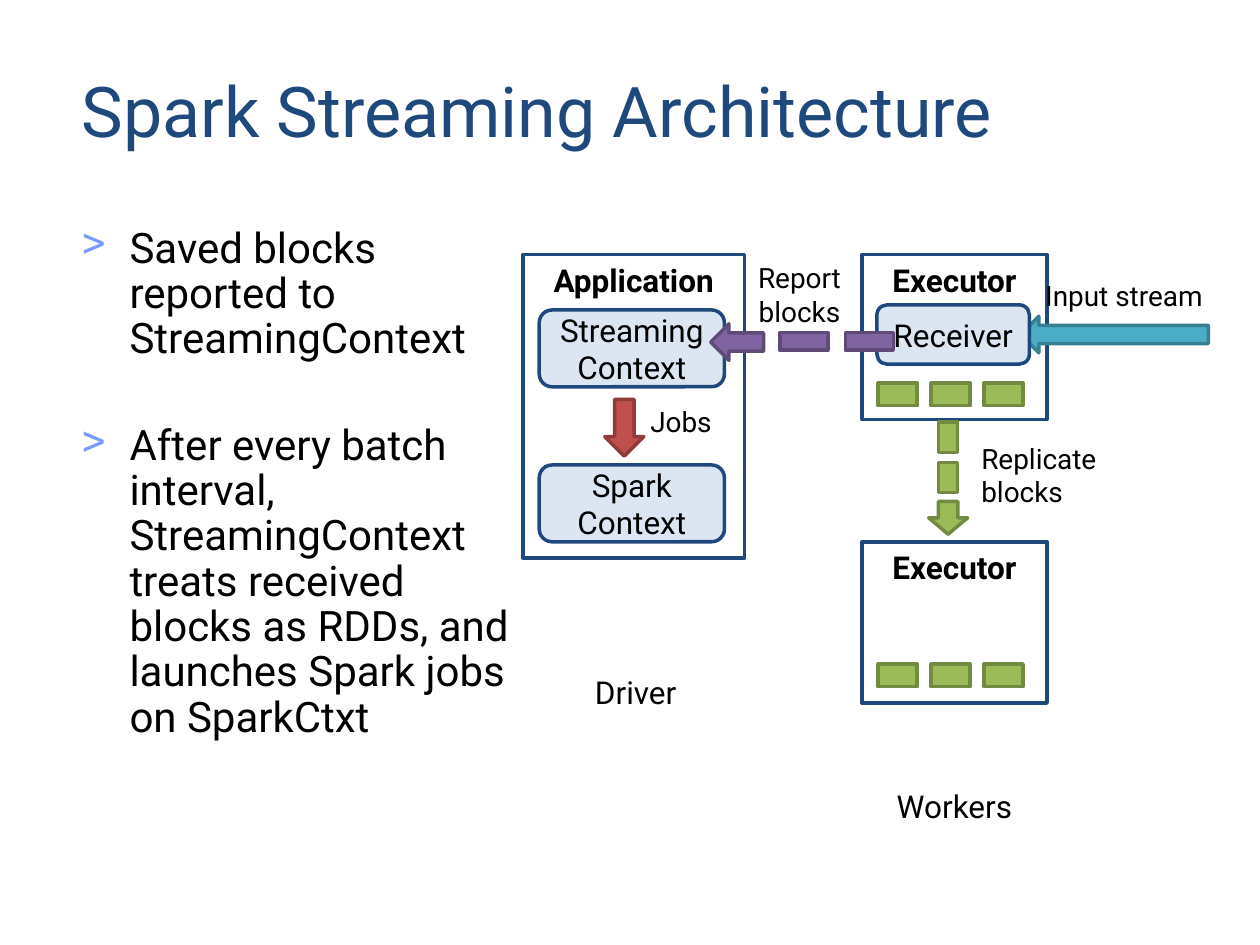
from lxml import etree
from pptx import Presentation
from pptx.dml.color import RGBColor
from pptx.enum.shapes import MSO_SHAPE
from pptx.enum.text import MSO_ANCHOR, PP_ALIGN
from pptx.oxml.ns import qn
from pptx.util import Inches, Pt

RECT, ROUNDED = MSO_SHAPE.RECTANGLE, MSO_SHAPE.ROUNDED_RECTANGLE
LEFT_ARROW, DOWN_ARROW = MSO_SHAPE.LEFT_ARROW, MSO_SHAPE.DOWN_ARROW
TOP, MIDDLE = MSO_ANCHOR.TOP, MSO_ANCHOR.MIDDLE
LEFT, CENTER = PP_ALIGN.LEFT, PP_ALIGN.CENTER

FONT = "Roboto"
BLACK = RGBColor(0x00, 0x00, 0x00)
WHITE = RGBColor(0xFF, 0xFF, 0xFF)
NAVY = RGBColor(0x1F, 0x49, 0x7D)
PALE_BLUE = RGBColor(0xDC, 0xE6, 0xF2)
TEAL, TEAL_EDGE = RGBColor(0x4B, 0xAC, 0xC6), RGBColor(0x37, 0x7F, 0x92)
GREEN, GREEN_EDGE = RGBColor(0x9B, 0xBB, 0x59), RGBColor(0x73, 0x8A, 0x42)
RED, RED_EDGE = RGBColor(0xC0, 0x50, 0x4D), RGBColor(0x8E, 0x3B, 0x39)
PURPLE, PURPLE_EDGE = RGBColor(0x80, 0x64, 0xA2), RGBColor(0x5F, 0x4A, 0x78)

prs = Presentation()
prs.slide_width, prs.slide_height = Inches(10), Inches(7.5)
slide = prs.slides.add_slide(prs.slide_layouts[6])


def add_text(box, lines, size, color=BLACK, bold=False, align=CENTER, anchor=MIDDLE):
    frame = box.text_frame
    frame.word_wrap = True
    frame.vertical_anchor = anchor
    for i, line in enumerate(lines):
        paragraph = frame.add_paragraph() if i else frame.paragraphs[0]
        paragraph.alignment = align
        run = paragraph.add_run()
        run.text = line
        run.font.name, run.font.size = FONT, Pt(size)
        run.font.bold, run.font.color.rgb = bold, color


def add_block(kind, x, y, w, h, fill, edge):
    block = slide.shapes.add_shape(kind, Inches(x), Inches(y), Inches(w), Inches(h))
    block.shadow.inherit = False
    block.fill.solid()
    block.fill.fore_color.rgb = fill
    block.line.color.rgb = edge
    block.line.width = Pt(2)
    return block


# Title and bullets
title = slide.shapes.add_textbox(Inches(0.55), Inches(0.39), Inches(8.95), Inches(0.95))
add_text(title, ["Spark Streaming Architecture"], 40, NAVY, align=LEFT)

body = slide.shapes.add_textbox(Inches(0.55), Inches(1.75), Inches(3.6), Inches(4.65))
add_text(body, [
    "Saved blocks reported to StreamingContext",
    "After every batch interval, StreamingContext treats received blocks as RDDs, "
    "and launches Spark jobs on SparkCtxt",
], 24, align=LEFT, anchor=TOP)
for i, point in enumerate(body.text_frame.paragraphs):
    point.line_spacing = 0.9
    point.space_before = Pt(35 * i)
    props = point._p.get_or_add_pPr()
    props.set("marL", str(Inches(0.38)))
    props.set("indent", str(-Inches(0.38)))
    bullet_color = etree.SubElement(props, qn("a:buClr"))
    etree.SubElement(bullet_color, qn("a:srgbClr"), val="799BFF")
    etree.SubElement(props, qn("a:buChar"), char=">")

# Driver and worker machines
for name, x, y, w, h in [
    ("Executor", 6.84, 2.02, 1.47, 1.31),
    ("Application", 4.15, 2.02, 1.76, 2.41),
    ("Executor", 6.84, 4.3, 1.47, 1.28),
]:
    machine = add_block(RECT, x, y, w, h, WHITE, NAVY)
    add_text(machine, [name], 18, bold=True, anchor=TOP)

# Input stream flows in behind the receiver
add_block(LEFT_ARROW, 8.1, 2.51, 1.49, 0.29, TEAL, TEAL_EDGE)

for lines, x, y, w, h in [
    (["Receiver"], 6.96, 2.42, 1.21, 0.47),
    (["Streaming", "Context"], 4.28, 2.46, 1.47, 0.61),
    (["Spark", "Context"], 4.28, 3.69, 1.47, 0.61),
]:
    component = add_block(ROUNDED, x, y, w, h, PALE_BLUE, NAVY)
    add_text(component, lines, 18)

# Data blocks stored in each executor
for y in (3.04, 5.27):
    for column in range(3):
        add_block(RECT, 6.97 + 0.42 * column, y, 0.31, 0.18, GREEN, GREEN_EDGE)

# Jobs, reported blocks and replicated blocks
add_block(DOWN_ARROW, 4.8, 3.17, 0.31, 0.45, RED, RED_EDGE)
add_block(LEFT_ARROW, 5.64, 2.57, 0.42, 0.29, PURPLE, PURPLE_EDGE)
add_block(DOWN_ARROW, 7.37, 3.98, 0.31, 0.26, GREEN, GREEN_EDGE)
for dash in range(2):
    add_block(RECT, 6.19 + 0.52 * dash, 2.64, 0.38, 0.14, PURPLE, PURPLE_EDGE)
    add_block(RECT, 7.45, 3.35 + 0.32 * dash, 0.15, 0.24, GREEN, GREEN_EDGE)

# Labels
for label, x, y, w, h, size, align in [
    ("Jobs", 4.8, 3.11, 1.21, 0.47, 16, CENTER),
    ("Input stream", 8.1, 2.11, 1.64, 0.47, 16, CENTER),
    ("Report blocks", 5.75, 2.1, 1.19, 0.47, 16, CENTER),
    ("Replicate blocks", 7.69, 3.5, 1.5, 0.54, 16, LEFT),
    ("Driver", 4.44, 5.26, 1.21, 0.47, 18, CENTER),
    ("Workers", 6.84, 6.16, 1.47, 0.47, 18, CENTER),
]:
    caption = slide.shapes.add_textbox(Inches(x), Inches(y), Inches(w), Inches(h))
    add_text(caption, [label], size, align=align)

prs.save("out.pptx")
